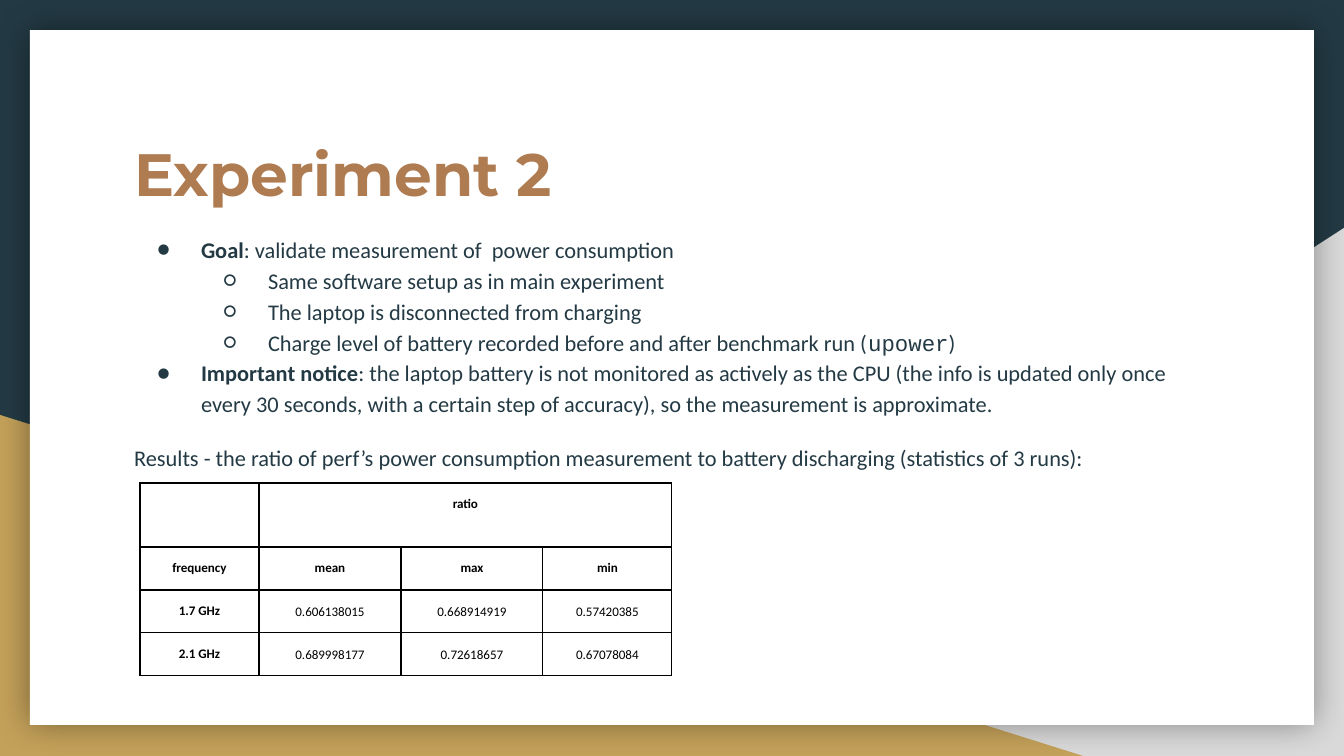
import pptx
import pptx.util
import pptx.dml.color
import pptx.enum.shapes
import pptx.enum.text
import pptx.oxml
import pptx.oxml.ns

SHAPE = pptx.enum.shapes.MSO_SHAPE
ALIGN = pptx.enum.text.PP_ALIGN
ANCHOR = pptx.enum.text.MSO_ANCHOR
NS = pptx.oxml.ns.nsdecls("a")
DARK = "233A44"
GOLD = "C4A15A"
GREY = "D9D9D9"
BROWN = "AF7B51"
WHITE = "FFFFFF"
BLACK = "000000"
PAD = 13

ITEMS = [
    ("●", 67, [("Goal", "b"), (": validate measurement of  power consumption", "")]),
    ("○", 134, [("Same software setup as in main experiment", "")]),
    ("○", 134, [("The laptop is disconnected from charging", "")]),
    ("○", 134, [
        ("Charge level of battery recorded before and after benchmark run (", ""),
        ("upower", "code"), (")", "")]),
    ("●", 67, [
        ("Important notice", "b"),
        (": the laptop battery is not monitored as actively as the CPU (the info is "
         "updated only once every 30 seconds, with a certain step of accuracy), so the "
         "measurement is approximate.", "")]),
    ("", 0, [
        ("Results - the ratio of perf’s power consumption measurement to battery "
         "discharging (statistics of 3 runs):", "")]),
]
ROWS = [
    ["", "ratio", "", ""],
    ["frequency", "mean", "max", "min"],
    ["1.7 GHz", "0.606138015", "0.668914919", "0.57420385"],
    ["2.1 GHz", "0.689998177", "0.72618657", "0.67078084"],
]


def px(num):
    return pptx.util.Emu(round(num * 9144000 / 1344))


def tint(code):
    return pptx.dml.color.RGBColor.from_string(code)


def add_xml(node, text):
    node.append(pptx.oxml.parse_xml(text))


def style(run, size, code, face="Calibri", bold=False):
    font = run.font
    font.size = pptx.util.Pt(size)
    font.name = face
    font.bold = bold
    font.color.rgb = tint(code)


def add_form(slide, kind, box, code, flip=False):
    form = slide.shapes.add_shape(kind, *map(px, box))
    form.shadow.inherit = False
    form.fill.solid()
    form.fill.fore_color.rgb = tint(code)
    form.line.fill.background()
    if flip:
        form._element.spPr.xfrm.set("flipH", "1")
    return form


def add_glow(form):
    form.shadow.inherit = True
    add_xml(form._element.spPr,
            f'<a:effectLst {NS}><a:outerShdw blurRad="228600" dist="0" dir="0" '
            f'algn="ctr" rotWithShape="0"><a:srgbClr val="{BLACK}">'
            '<a:alpha val="40000"/></a:srgbClr></a:outerShdw></a:effectLst>')


def add_box(slide, box):
    frame = slide.shapes.add_textbox(*map(px, box)).text_frame
    frame.word_wrap = True
    frame.margin_left = frame.margin_right = px(PAD)
    frame.margin_top = frame.margin_bottom = px(PAD)
    return frame


def add_mark(para, mark, left):
    props = para._p.get_or_add_pPr()
    props.set("marL", str(px(left)))
    props.set("indent", str(px(-44)))
    add_xml(props, f'<a:buClr {NS}><a:srgbClr val="{DARK}"/></a:buClr>')
    add_xml(props, f'<a:buFont {NS} typeface="Calibri"/>')
    add_xml(props, f'<a:buChar {NS} char="{mark}"/>')


def add_list(slide, box, items):
    frame = add_box(slide, box)
    for pos, (mark, left, parts) in enumerate(items):
        para = frame.paragraphs[0] if pos == 0 else frame.add_paragraph()
        para.line_spacing = 1.15
        if mark:
            add_mark(para, mark, left)
        else:
            para.space_before = pptx.util.Pt(12)
        for text, kind in parts:
            run = para.add_run()
            run.text = text
            face = "Courier New" if kind == "code" else "Calibri"
            style(run, 12, DARK, face, kind == "b")


def add_edge(cell):
    props = cell._tc.get_or_add_tcPr()
    for side in "LRTB":
        add_xml(props, f'<a:ln{side} {NS} w="9525"><a:solidFill><a:srgbClr '
                       f'val="{BLACK}"/></a:solidFill></a:ln{side}>')


def set_cell(cell, text, bold, low):
    pad = px(PAD if text else 0)
    cell.margin_left = cell.margin_right = pad
    cell.margin_top = cell.margin_bottom = pad
    cell.vertical_anchor = ANCHOR.BOTTOM if low else ANCHOR.TOP
    add_edge(cell)
    cell.fill.solid()
    cell.fill.fore_color.rgb = tint(WHITE)
    if text:
        para = cell.text_frame.paragraphs[0]
        para.text = text
        para.alignment = ALIGN.CENTER
        style(para.runs[0], 7, BLACK, bold=bold)


def add_grid(slide, left, top, cols, highs, rows):
    box = (left, top, sum(cols), sum(highs))
    grid = slide.shapes.add_table(len(rows), len(cols), *map(px, box)).table
    grid.first_row = grid.horz_banding = False
    for col, wide in zip(grid.columns, cols):
        col.width = px(wide)
    for row, high in zip(grid.rows, highs):
        row.height = px(high)
    for y, line in enumerate(rows):
        for x, text in enumerate(line):
            value = y > 1 and x > 0
            set_cell(grid.cell(y, x), text, not value, value)
    grid.cell(0, 1).merge(grid.cell(0, len(cols) - 1))


def main():
    deck = pptx.Presentation()
    deck.slide_width, deck.slide_height = px(1344), px(756)
    slide = deck.slides.add_slide(deck.slide_layouts[6])
    slide.background.fill.solid()
    slide.background.fill.fore_color.rgb = tint(DARK)
    add_form(slide, SHAPE.RIGHT_TRIANGLE, (527, 228, 817, 528), GREY, True)
    add_form(slide, SHAPE.RIGHT_TRIANGLE, (0, 415, 1083, 341), GOLD)
    add_glow(add_form(slide, SHAPE.RECTANGLE, (30, 30, 1284, 695), WHITE))
    title = add_box(slide, (121, 124, 1103, 140))
    title.text = "Experiment 2"
    style(title.paragraphs[0].runs[0], 32, BROWN, "Montserrat", True)
    add_list(slide, (121, 219, 1103, 360), ITEMS)
    add_grid(slide, 140, 483, [119, 142, 142, 129], [64, 43, 43, 43], ROWS)
    deck.save("out.pptx")


if __name__ == "__main__":
    main()
